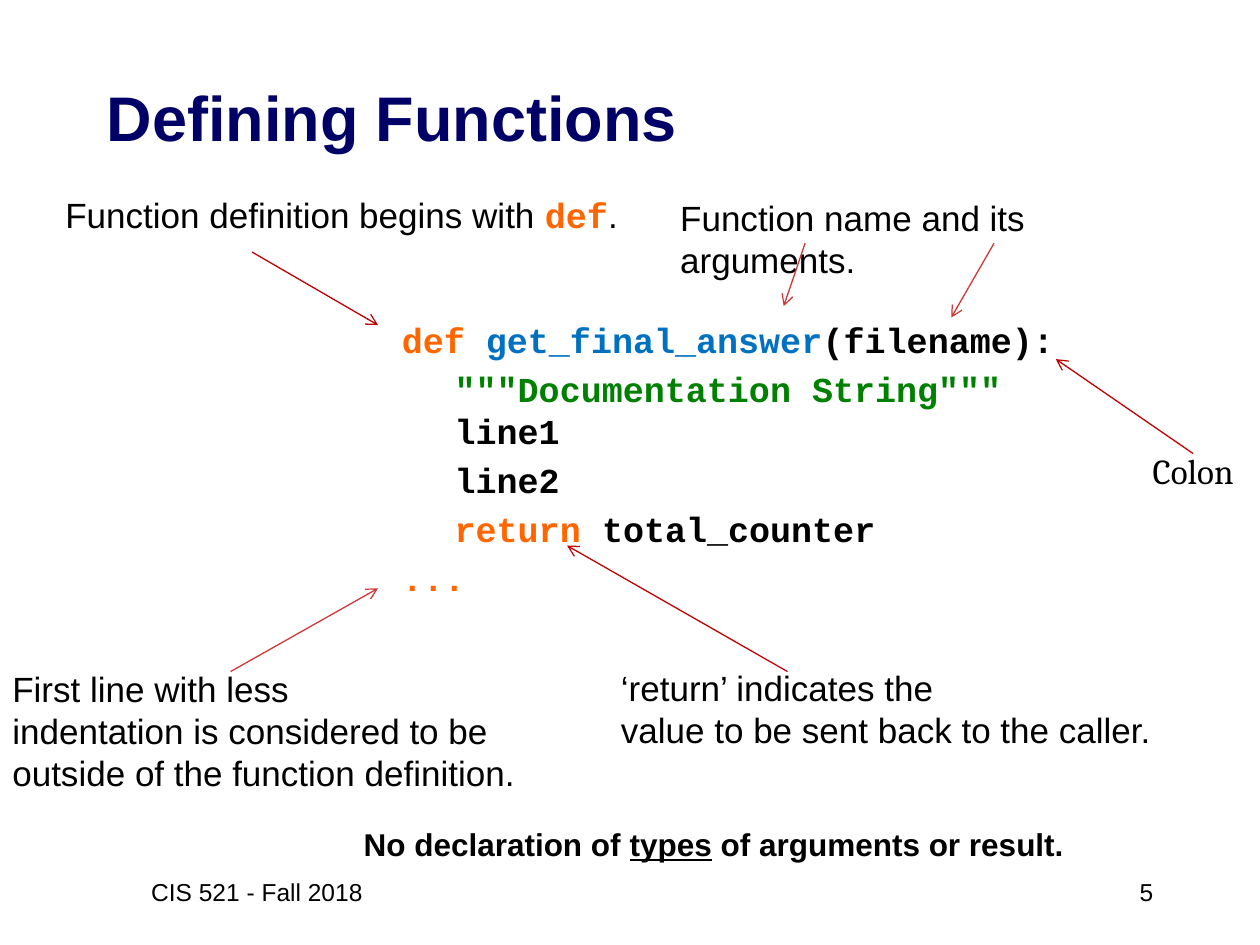
from dataclasses import dataclass
from typing import NamedTuple, Optional

from lxml.etree import SubElement
from pptx import Presentation
from pptx.dml.color import RGBColor as Rgb
from pptx.enum.shapes import MSO_CONNECTOR as Link
from pptx.enum.text import MSO_ANCHOR as Anchor, PP_ALIGN as Align
from pptx.oxml.ns import qn
from pptx.util import Inches, Pt

COLORS = {
    "ink": "000000",
    "title": "000066",
    "key": "FF6600",
    "name": "0070C0",
    "doc": "008000",
    "red": "C00000",
    "rose": "CE3838",
}
MONO = "Courier New"


@dataclass
class Run:
    """A stretch of text that may differ from the format of its box."""
    text: str
    color: Optional[str] = None
    font: Optional[str] = None
    bold: Optional[bool] = None
    line: bool = False


class Note(NamedTuple):
    """A remark beside the code."""
    box: tuple
    runs: list
    font: str = "Arial"


class Arrow(NamedTuple):
    """An arrow from a remark to the code."""
    start: tuple
    end: tuple
    color: str = "red"


NOTES = [
    Note((0, 5.25, 4.23, 1.11), [Run(
        "First line with less\nindentation is considered to be\n"
        "outside of the function definition.")]),
    Note((0.42, 1.49, 4.71, 0.44), [
        Run("Function definition begins with "),
        Run("def", "key", MONO, True), Run(".")]),
    Note((5.3, 1.51, 4.4, 0.77), [Run("Function name and its\narguments.")]),
    Note((4.83, 5.24, 4.46, 0.77), [Run(
        "‘return’ indicates the\nvalue to be sent back to the caller.")]),
    Note((9.05, 3.52, 0.9, 0.44), [Run("Colon")], "Cambria"),
]
ARROWS = [
    Arrow((1.83, 5.33), (3, 4.67), "rose"),
    Arrow((2, 2), (3, 2.58)),
    Arrow((6.39, 1.93), (6.22, 2.43), "rose"),
    Arrow((7.89, 1.93), (7.55, 2.52), "rose"),
    Arrow((6.25, 5.33), (4.5, 4.33)),
    Arrow((9.47, 3.6), (8.38, 2.85)),
]
CODE = [
    [Run("def ", "key"), Run("get_final_answer", "name"), Run("(filename):")],
    [Run('"""Documentation String"""\n', "doc"), Run("line1")],
    [Run("line2")],
    [Run("return ", "key"), Run("total_counter")],
    [Run("...", "key")],
]
STEPS = [1, 1.42, 1.42, 1.42, 1]


def write(slide, box: tuple, paras: list, *, size: float = 20,
          font: str = "Arial", color: str = "ink", bold: bool = False,
          align=Align.LEFT, anchor=Anchor.TOP, steps: tuple = (),
          gap: float = 0) -> None:
    """Add a text box holding paragraphs of runs."""
    frame = slide.shapes.add_textbox(*map(Inches, box)).text_frame
    frame.word_wrap = True
    frame.vertical_anchor = anchor
    for i, runs in enumerate(paras):
        para = frame.add_paragraph() if i else frame.paragraphs[0]
        para.alignment = align
        if i and gap:
            para.space_before = Pt(gap)
        if steps:
            para._p.get_or_add_pPr().set("marL", str(Inches(steps[i])))
        for run in runs:
            for j, part in enumerate(run.text.split("\n")):
                if j:
                    para.add_line_break()
                if not part:
                    continue
                item = para.add_run()
                item.text = part
                face = item.font
                face.size = Pt(size)
                face.name = run.font or font
                face.bold = bold if run.bold is None else run.bold
                face.underline = run.line
                face.color.rgb = Rgb.from_string(COLORS[run.color or color])


def point(slide, arrow: Arrow) -> None:
    """Draw a thin line with an open head at its end."""
    ends = map(Inches, arrow.start + arrow.end)
    line = slide.shapes.add_connector(Link.STRAIGHT, *ends)
    line.line.color.rgb = Rgb.from_string(COLORS[arrow.color])
    line.line.width = Pt(0.75)
    SubElement(line.line._get_or_add_ln(), qn("a:tailEnd"), type="arrow")
    SubElement(line._element.spPr, qn("a:effectLst"))


def main() -> None:
    """Build the slide and save it."""
    deck = Presentation()
    deck.slide_width, deck.slide_height = Inches(10), Inches(7.5)
    slide = deck.slides.add_slide(deck.slide_layouts[6])
    write(slide, (0.75, 0.67, 8.5, 0.5), [[Run("Defining Functions")]],
          size=36, color="title", bold=True, anchor=Anchor.MIDDLE)
    write(slide, (2.09, 2.48, 7.08, 2.3), CODE, font=MONO, bold=True,
          steps=STEPS, gap=4)
    for note in NOTES:
        write(slide, note.box, [note.runs], font=note.font)
    for arrow in ARROWS:
        point(slide, arrow)
    write(slide, (2.25, 6.5, 6.83, 0.42), [[
        Run("No declaration of "), Run("types", line=True),
        Run(" of arguments or result.")]],
        size=18, bold=True, align=Align.CENTER)
    write(slide, (0.75, 6.83, 2.58, 0.5), [[Run("CIS 521 - Fall 2018")]],
          size=14, align=Align.CENTER, anchor=Anchor.MIDDLE)
    write(slide, (7.17, 6.83, 2.08, 0.5), [[Run("5")]],
          size=14, align=Align.RIGHT, anchor=Anchor.MIDDLE)
    deck.save("out.pptx")


if __name__ == "__main__":
    main()
